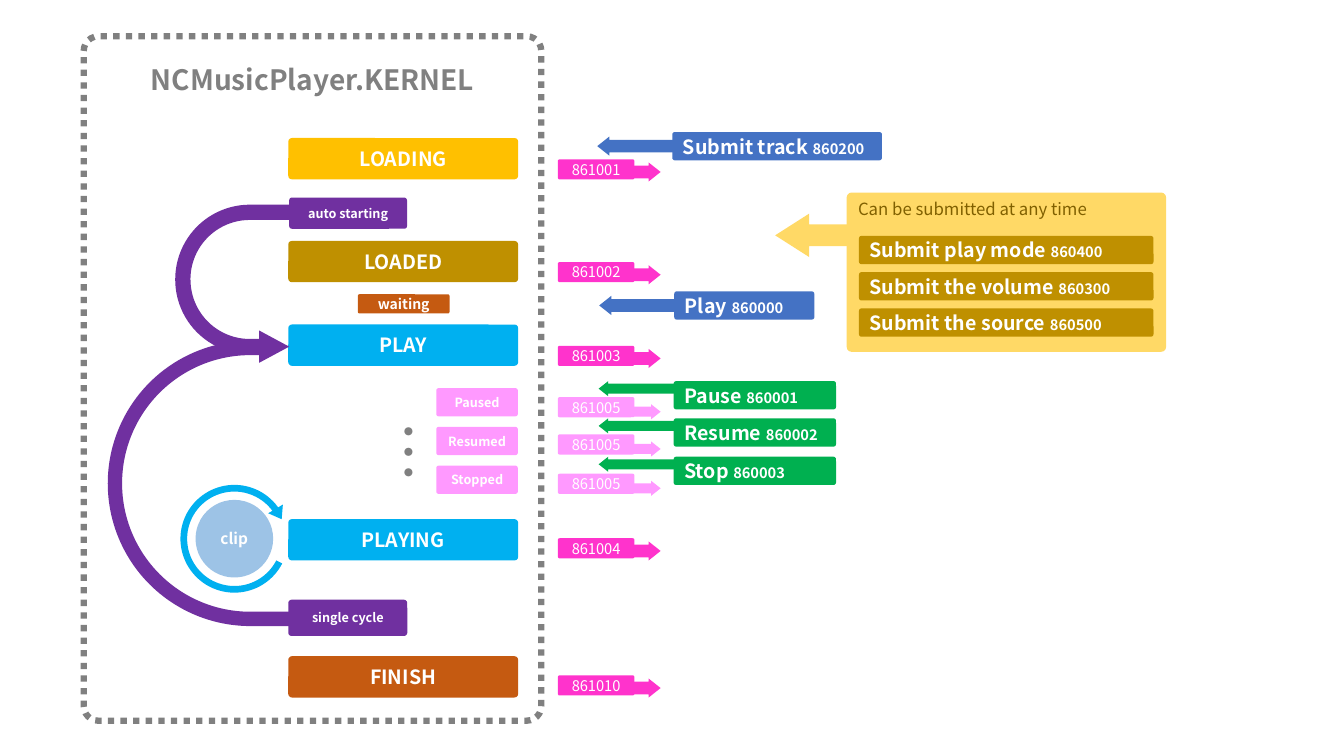
from lxml import etree
from pptx import Presentation
from pptx import util as u
from pptx.dml.color import RGBColor
from pptx.enum import dml, shapes, text
from pptx.oxml.ns import qn

FONT = "Noto Sans CJK SC"
WHITE = RGBColor(0xFF, 0xFF, 0xFF)
GREY = RGBColor(0x80, 0x80, 0x80)
SKY = RGBColor(0x00, 0xB0, 0xF0)
PALE_BLUE = RGBColor(0x9D, 0xC3, 0xE6)
BLUE = RGBColor(0x44, 0x72, 0xC4)
GREEN = RGBColor(0x00, 0xB0, 0x50)
AMBER = RGBColor(0xFF, 0xC0, 0x00)
SAND = RGBColor(0xFF, 0xD9, 0x66)
OCHRE = RGBColor(0xBF, 0x90, 0x00)
BROWN = RGBColor(0x80, 0x60, 0x00)
RUST = RGBColor(0xC5, 0x5A, 0x11)
PURPLE = RGBColor(0x70, 0x30, 0xA0)
MAGENTA = RGBColor(0xFF, 0x33, 0xCC)
PINK = RGBColor(0xFF, 0x99, 0xFF)

KIND = shapes.MSO_SHAPE
CENTER, LEFT = text.PP_ALIGN.CENTER, text.PP_ALIGN.LEFT
MIDDLE, TOP = text.MSO_ANCHOR.MIDDLE, text.MSO_ANCHOR.TOP
NOTCHED = (0.662, 0.63)
BAR_H, LABEL_H, TAG_H = 29.5, 20.2, 14.4


def add_run(p, words, size, color=WHITE, bold=True):
    """Append one formatted run to a paragraph."""
    r = p.add_run()
    r.text = words
    f = r.font
    f.name, f.size, f.bold = FONT, u.Pt(size), bold
    f.color.rgb = color
    etree.SubElement(r._r.get_or_add_rPr(), qn("a:ea"), typeface=FONT)


def add_block(s, kind, box, color=None, adj=(), rot=0, flip=False):
    """Add a flat preset shape without outline; box is in points."""
    sp = s.shapes.add_shape(kind, *map(u.Pt, box))
    sp.shadow.inherit = False
    sp.line.fill.background()
    if color is None:
        sp.fill.background()
    else:
        sp.fill.solid()
        sp.fill.fore_color.rgb = color
    for i, value in enumerate(adj):
        sp.adjustments[i] = value
    sp.rotation = rot
    if flip:
        sp._element.spPr.find(qn("a:xfrm")).set("flipH", "1")
    return sp


def write(sp, runs, align=CENTER, anchor=MIDDLE):
    """Fill a shape with one paragraph of (words, size, ...) runs."""
    tf = sp.text_frame
    tf.word_wrap, tf.vertical_anchor = True, anchor
    p = tf.paragraphs[0]
    p.alignment = align
    for run in runs:
        add_run(p, *run)


def add_label(s, box, color, *runs, align=CENTER):
    """Add a slightly rounded box with one line of text."""
    sp = add_block(s, KIND.ROUNDED_RECTANGLE, box, color, (0.089,))
    write(sp, runs, align)


def add_command(s, box, color, name, code):
    """Add a left-aligned command label with its smaller code."""
    add_label(s, box, color, (name + " ", 14), (code, 10.5), align=LEFT)


def add_frame(s, x, y, w, h):
    """Draw the dotted kernel frame and place the slide title in it."""
    sp = add_block(s, KIND.ROUNDED_RECTANGLE, (x, y, w, h), adj=(0.032,))
    sp.line.color.rgb = GREY
    sp.line.width = u.Pt(4.5)
    sp.line.dash_style = dml.MSO_LINE.ROUND_DOT
    title = s.shapes.title
    title.left, title.top = u.Pt(x), u.Pt(y + 14)
    title.width, title.height = u.Pt(w), u.Pt(34)
    write(title, [("NCMusicPlayer.KERNEL", 20, GREY)])


def add_clip(s, x, y, d):
    """Draw the clip disc inside its circular arrow of diameter d."""
    add_block(s, KIND.BLOCK_ARC, (x, y, d, d), SKY, (108, 73.442, 0.062), 207.3)
    add_block(s, KIND.ISOSCELES_TRIANGLE, (x + 64, y + 16.6, 12.2, 8.6), SKY,
              rot=149.3)
    inner = 0.72 * d
    gap = (d - inner) / 2
    sp = add_block(s, KIND.OVAL, (x + gap, y + gap, inner, inner), PALE_BLUE)
    sp.text_frame.margin_left = sp.text_frame.margin_right = 0
    write(sp, [("clip", 11)])


def add_kernel(s, x, y, w, h):
    """Draw the states, loops and outcomes inside the kernel frame."""
    add_frame(s, x, y, w, h)
    bar_x = x + 146.1
    for name, dy, color in (("PLAY", 205.9, SKY), ("LOADING", 72.7, AMBER),
                            ("LOADED", 146.2, OCHRE), ("PLAYING", 344.9, SKY),
                            ("FINISH", 442.8, RUST)):
        add_label(s, (bar_x, y + dy, 164.2, BAR_H), color, (name, 14))
    add_block(s, KIND.U_TURN_ARROW, (x + 49.6, y + 136.1, 113, 81.4), PURPLE,
              (0.134, 0.142, 0.264, 0.655, 1), 270, flip=True)
    add_block(s, KIND.U_TURN_ARROW, (x - 11.6, y + 246.3, 203.8, 146.2), PURPLE,
              (0.077, 0.035, 0, 0.697, 0.794), 270)
    for name, dx, dy, lw, lh, color, size in (
            ("waiting", 195.8, 184.3, 65.5, 13.7, RUST, 10),
            ("single cycle", 146.1, 402.5, 85, 25.9, PURPLE, 9),
            ("auto starting", 146.8, 115.2, 84.2, 22.3, PURPLE, 9)):
        add_label(s, (x + dx, y + dy, lw, lh), color, (name, size))
    add_clip(s, x + 69.1, y + 320.4, 77)
    dots = s.shapes.add_textbox(*map(u.Pt, (x + 195.1, y + 267.9, 67.7, 43.2)))
    dots.text_frame.word_wrap = False
    dots.text_frame._txBody.bodyPr.set("vert", "eaVert")
    add_run(dots.text_frame.paragraphs[0], "…", 44, GREY, False)
    for i, name in enumerate(("Paused", "Resumed", "Stopped")):
        add_label(s, (x + 251.8, y + 251.3 + 27.7 * i, 58.3, LABEL_H), PINK,
                  (name, 9))


def add_inputs(s, x, y):
    """Place the commands whose arrows point left at the kernel."""
    for name, code, dx, dy, w, color, arrow_dy, arrow_h in (
            ("Submit track", "860200", 0, 0, 149.8, BLUE, 3.2, 13.7),
            ("Play", "860000", 1.4, 113.8, 100.1, BLUE, 3.2, 13.7),
            ("Pause", "860001", 1, 177.9, 116, GREEN, 0, 10.8),
            ("Resume", "860002", 1, 204.5, 116, GREEN, 0, 10.8),
            ("Stop", "860003", 1, 231.9, 116, GREEN, 0, 10.8)):
        add_command(s, (x + dx, y + dy, w, LABEL_H), color, name, code)
        add_block(s, KIND.NOTCHED_RIGHT_ARROW,
                  (x + dx - 53.6, y + dy + arrow_dy, 60.5, arrow_h), color,
                  NOTCHED, 180)


def add_events(s, x, y):
    """Place the numbered events that leave the kernel to the right."""
    strong, pale = (MAGENTA, 2.2, 13.7), (PINK, 5, 10.8)
    for code, dy, (color, arrow_dy, arrow_h) in (
            ("861001", 0, strong), ("861002", 73.4, strong),
            ("861003", 133.2, strong), ("861004", 270.7, strong),
            ("861010", 368.6, strong), ("861005", 224.6, pale),
            ("861005", 196.5, pale), ("861005", 169.9, pale)):
        add_block(s, KIND.NOTCHED_RIGHT_ARROW,
                  (x + 44.6, y + dy + arrow_dy, 28.8, arrow_h), color, NOTCHED)
        add_label(s, (x, y + dy, 54.7, TAG_H), color,
                  (code, 10.5, WHITE, False))


def add_anytime(s, x, y, w, h):
    """Draw the panel of commands that are accepted at any time."""
    add_block(s, KIND.RIGHT_ARROW, (x - 51.1, y + 15.1, 110.2, 31), SAND,
              (0.5, 0.783), 180)
    sp = add_block(s, KIND.ROUNDED_RECTANGLE, (x, y, w, h), SAND, (0.031,))
    write(sp, [("Can be submitted at any time", 12, BROWN, False)], LEFT, TOP)
    for i, (name, code) in enumerate((("Submit play mode", "860400"),
                                      ("Submit the volume", "860300"),
                                      ("Submit the source", "860500"))):
        add_command(s, (x + 8.8, y + 31 + 25.9 * i, w - 17.8, LABEL_H), OCHRE,
                    name, code)


prs = Presentation()
prs.slide_width, prs.slide_height = u.Pt(960), u.Pt(540)
s = prs.slides.add_slide(prs.slide_layouts[5])
add_kernel(s, 59.8, 25.9, 326.9, 488.9)
add_inputs(s, 480.2, 94.3)
add_anytime(s, 604.8, 137.5, 228.2, 113.8)
add_events(s, 398.5, 113.8)
prs.save("out.pptx")
